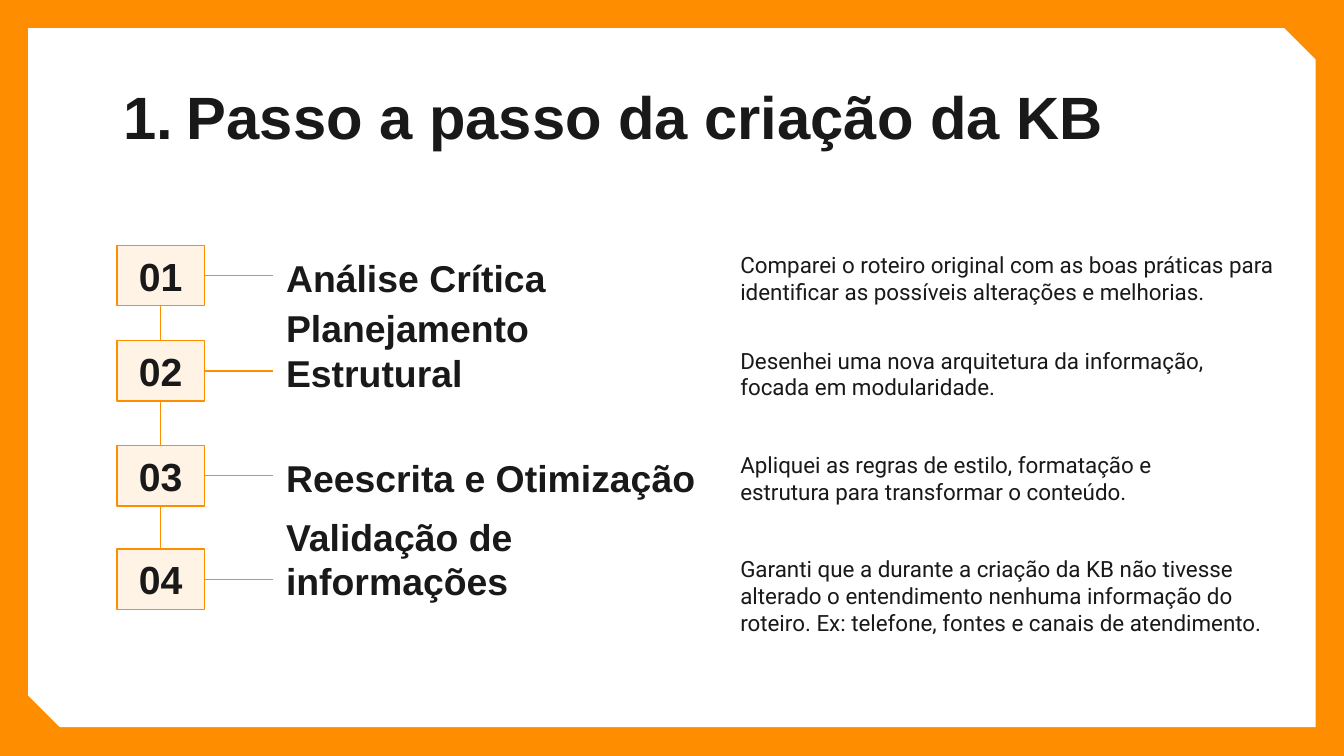
from dataclasses import dataclass

from lxml.etree import SubElement
from pptx import Presentation
from pptx.dml.color import RGBColor
from pptx.enum.shapes import MSO_CONNECTOR, MSO_SHAPE
from pptx.enum.text import MSO_ANCHOR, MSO_AUTO_SIZE, PP_ALIGN
from pptx.oxml.ns import qn
from pptx.util import Inches, Pt


@dataclass(frozen=True)
class Theme:
    orange: RGBColor = RGBColor(0xFE, 0x8D, 0x00)
    cream: RGBColor = RGBColor(0xFF, 0xF3, 0xE5)
    white: RGBColor = RGBColor(0xFF, 0xFF, 0xFF)
    ink: RGBColor = RGBColor(0x19, 0x19, 0x19)
    heading_font: str = "Arial"
    body_font: str = "Roboto"
    title_size: int = 32
    number_size: int = 21
    label_size: int = 20
    body_size: int = 12
    line_width: float = 0.75


THEME = Theme()
BOX_LEFT, BOX_WIDTH, BOX_HEIGHT = 0.87, 0.65, 0.45
LABEL_LEFT, LABEL_WIDTH = 2.03, 3.38
DETAIL_LEFT = LABEL_LEFT + LABEL_WIDTH
TEXT_HEIGHT = 0.56
TOP, LEFT, BOTTOM, RIGHT = range(4)

# Row centre, label, description, description width
STEPS = [
    (2.05, "Análise Crítica",
     "Comparei o roteiro original com as boas práticas para identificar as "
     "possíveis alterações e melhorias.", 4.21),
    (2.76, "Planejamento Estrutural",
     "Desenhei uma nova arquitetura da informação, focada em modularidade.", 3.8),
    (3.54, "Reescrita e Otimização",
     "Apliquei as regras de estilo, formatação e estrutura para transformar "
     "o conteúdo.", 3.8),
    (4.31, "Validação de informações",
     "Garanti que a durante a criação da KB não tivesse alterado o "
     "entendimento nenhuma informação do roteiro. Ex: telefone, fontes e "
     "canais de atendimento.", 4.13),
]


def write(shape, text, size, font=THEME.heading_font, bold=True,
          align=PP_ALIGN.LEFT, anchor=MSO_ANCHOR.TOP):
    """Fill the shape with one formatted paragraph and return it."""
    frame = shape.text_frame
    frame.word_wrap = True
    frame.auto_size = MSO_AUTO_SIZE.NONE
    frame.vertical_anchor = anchor
    frame.margin_left = frame.margin_right = Inches(0.1)
    frame.margin_top = frame.margin_bottom = Inches(0.1)
    para = frame.paragraphs[0]
    para.alignment = align
    span = para.add_run()
    span.text = text
    span.font.name = font
    span.font.size = Pt(size)
    span.font.bold = bold
    span.font.color.rgb = THEME.ink
    return para


def number_paragraph(para, indent, hanging):
    properties = para._p.get_or_add_pPr()
    properties.set("marL", str(Inches(indent)))
    properties.set("indent", str(-Inches(hanging)))
    colour = SubElement(properties, qn("a:buClr"))
    SubElement(colour, qn("a:srgbClr"), val=str(THEME.ink))
    SubElement(properties, qn("a:buFont"), typeface=THEME.heading_font)
    SubElement(properties, qn("a:buAutoNum"), type="arabicPeriod")


def add_panel(page):
    """Add the white panel with two snipped corners, behind everything else."""
    panel = page.shapes.add_shape(
        MSO_SHAPE.SNIP_2_DIAG_RECTANGLE,
        Inches(0.21), Inches(0.21), Inches(9.58), Inches(5.2))
    panel.adjustments[0] = 0
    panel.adjustments[1] = 0.045
    panel.shadow.inherit = False
    panel.fill.solid()
    panel.fill.fore_color.rgb = THEME.white
    panel.line.fill.background()
    page.shapes._spTree.insert(2, panel._element)


def add_title(page, text):
    title = page.shapes.title
    title.left, title.top = Inches(0.79), Inches(0.49)
    title.width, title.height = Inches(8.43), Inches(0.63)
    para = write(title, text, THEME.title_size)
    number_paragraph(para, 0.5, 0.47)


def add_text(page, left, centre, width, text, size, **style):
    box = page.shapes.add_textbox(
        Inches(left), Inches(centre - TEXT_HEIGHT / 2),
        Inches(width), Inches(TEXT_HEIGHT))
    write(box, text, size, **style)
    return box


def add_number_box(page, centre, number):
    box = page.shapes.add_shape(
        MSO_SHAPE.RECTANGLE,
        Inches(BOX_LEFT), Inches(centre - BOX_HEIGHT / 2),
        Inches(BOX_WIDTH), Inches(BOX_HEIGHT))
    box.shadow.inherit = False
    box.fill.solid()
    box.fill.fore_color.rgb = THEME.cream
    box.line.color.rgb = THEME.orange
    box.line.width = Pt(THEME.line_width)
    write(box, f"{number:02d}", THEME.number_size,
          align=PP_ALIGN.CENTER, anchor=MSO_ANCHOR.MIDDLE)
    return box


def join(page, start, start_side, end, end_side):
    line = page.shapes.add_connector(MSO_CONNECTOR.STRAIGHT, 0, 0, 0, 0)
    line.begin_connect(start, start_side)
    line.end_connect(end, end_side)
    line.line.color.rgb = THEME.orange
    line.line.width = Pt(THEME.line_width)
    SubElement(line._element.spPr, qn("a:effectLst"))


def add_step(page, number, centre, label, detail, detail_width):
    """Add one row and return its number box and label."""
    add_text(page, DETAIL_LEFT, centre, detail_width, detail,
             THEME.body_size, font=THEME.body_font, bold=False)
    label_box = add_text(page, LABEL_LEFT, centre, LABEL_WIDTH, label,
                         THEME.label_size, anchor=MSO_ANCHOR.BOTTOM)
    return add_number_box(page, centre, number), label_box


def main():
    deck = Presentation()
    deck.slide_width = Inches(10)
    deck.slide_height = deck.slide_width * 9 // 16
    page = deck.slides.add_slide(deck.slide_layouts.get_by_name("Title Only"))
    page.background.fill.solid()
    page.background.fill.fore_color.rgb = THEME.orange

    add_panel(page)
    add_title(page, "Passo a passo da criação da KB")
    rows = [add_step(page, number, *step)
            for number, step in enumerate(STEPS, start=1)]
    for number_box, label_box in rows:
        join(page, number_box, RIGHT, label_box, LEFT)
    for (upper, _), (lower, _) in zip(rows, rows[1:]):
        join(page, upper, BOTTOM, lower, TOP)

    deck.save("out.pptx")


if __name__ == "__main__":
    main()
